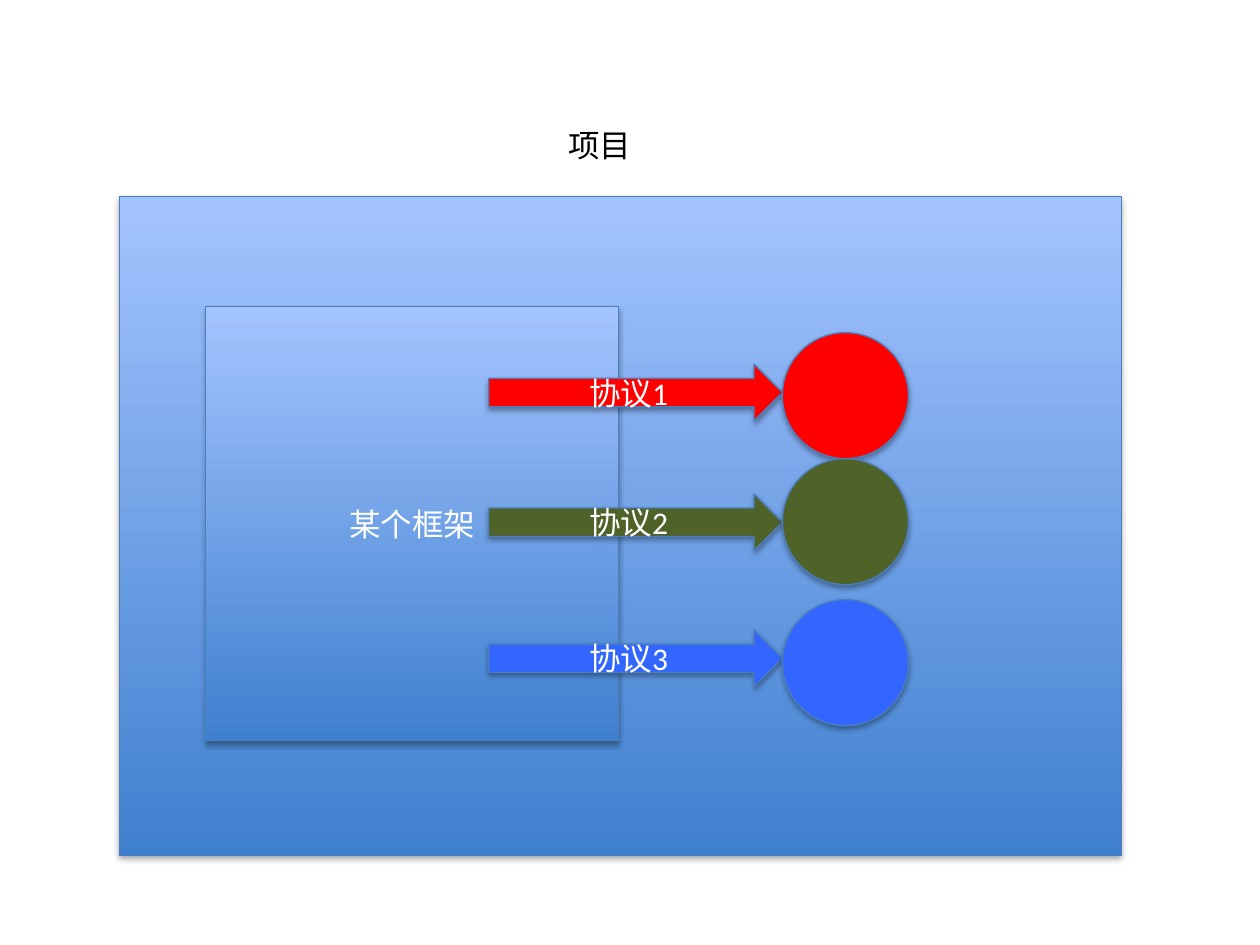
import pptx
import pptx.util
import pptx.dml.color
import pptx.enum.shapes
import pptx.enum.text
import pptx.oxml
import pptx.oxml.ns

SHAPE = pptx.enum.shapes.MSO_SHAPE
COLOURS = {
    "deep": "3F80CE", "pale": "A4C4FF", "outline": "4B7EBC",
    "red": "FF0000", "green": "4F6228", "blue": "3366FF",
    "white": "FFFFFF", "black": "000000",
}
FONT = {"name": "Calibri", "size": pptx.util.Pt(18)}

# Grid: 100 columns by 75 rows on the slide
WIDTH, HEIGHT = pptx.util.Inches(10), pptx.util.Inches(7.5)
COLUMN, ROW = WIDTH / 100, HEIGHT / 75

ARROW_LEFT, ARROW_WIDTH, ARROW_HEIGHT = 38.8, 23.3, 4.5
CIRCLE_SIZE = 10

# Label, colour, arrow row, circle row
PROTOCOLS = [
    ("协议1", "red", 28.9, 26.4),
    ("协议2", "green", 39.2, 36.4),
    ("协议3", "blue", 50, 47.6),
]

SHADOW = (
    '<a:outerShdw %s blurRad="40000" dist="23000" dir="5400000" rotWithShape="0">'
    '<a:srgbClr val="%s"><a:alpha val="35000"/></a:srgbClr></a:outerShdw>'
    % (pptx.oxml.ns.nsdecls("a"), COLOURS["black"])
)


def colour(name):
    return pptx.dml.color.RGBColor.from_string(COLOURS[name])


def place(left, top, width, height):
    """Turn grid columns and rows into slide lengths."""
    return [round(n) for n in (left * COLUMN, top * ROW, width * COLUMN, height * ROW)]


def write(box, text, ink, **layout):
    frame = box.text_frame
    for key, value in layout.items():
        setattr(frame, key, value)
    para = frame.paragraphs[0]
    span = para.add_run()
    span.text = text
    for key, value in FONT.items():
        setattr(span.font, key, value)
    span.font.color.rgb = colour(ink)
    return para


def add_shadow(box):
    box.shadow.inherit = False
    effects = box._element.spPr.find(pptx.oxml.ns.qn("a:effectLst"))
    effects.append(pptx.oxml.parse_xml(SHADOW))


def add_box(page, kind, area, fill=None, text=None):
    """Add a shadowed shape; without a fill colour it gets the blue gradient."""
    box = page.shapes.add_shape(kind, *place(*area))
    if fill:
        box.fill.solid()
        box.fill.fore_color.rgb = colour(fill)
    else:
        box.fill.gradient()
        box.fill.gradient_angle = 90
        for stop, name in zip(box.fill.gradient_stops, ("deep", "pale")):
            stop.color.rgb = colour(name)
    box.line.color.rgb = colour("outline")
    box.line.width = pptx.util.Pt(0.75)
    add_shadow(box)
    if text:
        para = write(box, text, "white",
                     vertical_anchor=pptx.enum.text.MSO_ANCHOR.MIDDLE)
        para.alignment = pptx.enum.text.PP_ALIGN.CENTER


def add_label(page, area, text):
    box = page.shapes.add_textbox(*place(*area))
    write(box, text, "black", word_wrap=False,
          auto_size=pptx.enum.text.MSO_AUTO_SIZE.SHAPE_TO_FIT_TEXT)


def main():
    deck = pptx.Presentation()
    deck.slide_width, deck.slide_height = WIDTH, HEIGHT
    page = deck.slides.add_slide(deck.slide_layouts[6])

    # Project and the framework inside it
    add_box(page, SHAPE.RECTANGLE, (9.5, 15.6, 79.5, 52.3))
    add_box(page, SHAPE.RECTANGLE, (16.3, 24.3, 32.8, 34.5), text="某个框架")

    # Protocol arrows, each ending at its circle
    for text, fill, arrow_top, circle_top in PROTOCOLS:
        add_box(page, SHAPE.RIGHT_ARROW,
                (ARROW_LEFT, arrow_top, ARROW_WIDTH, ARROW_HEIGHT), fill, text)
        add_box(page, SHAPE.OVAL,
                (ARROW_LEFT + ARROW_WIDTH, circle_top, CIRCLE_SIZE, CIRCLE_SIZE), fill)

    # Project title
    add_label(page, (44.1, 9.5, 7.1, 4), "项目")

    deck.save("out.pptx")


main()
